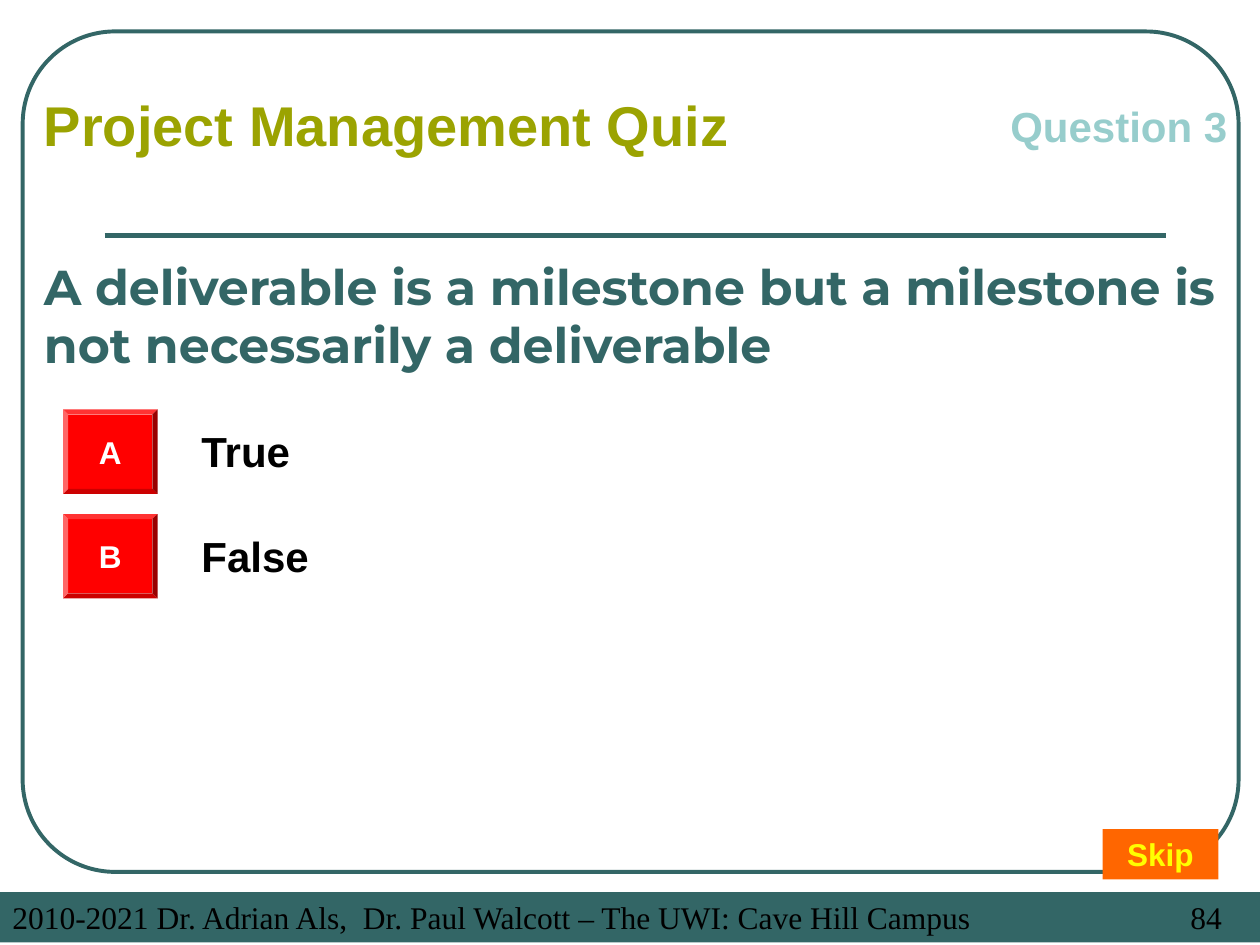
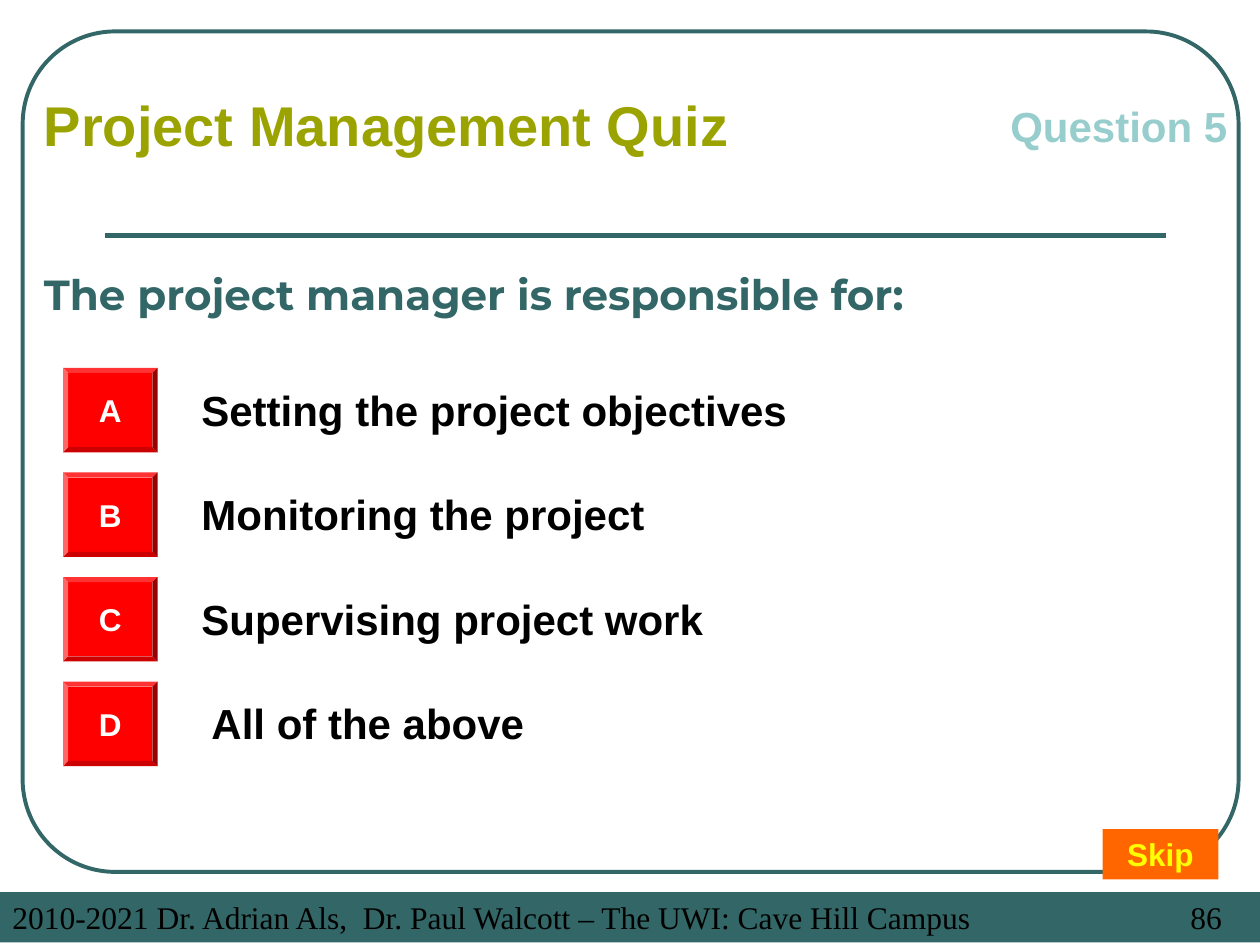
"""Build two project management quiz slides."""
from dataclasses import dataclass

from pptx import Presentation
from pptx.dml.color import RGBColor
from pptx.enum.shapes import MSO_CONNECTOR, MSO_SHAPE
from pptx.enum.text import MSO_ANCHOR, PP_ALIGN
from pptx.oxml.xmlchemy import OxmlElement
from pptx.shapes.autoshape import Shape
from pptx.slide import Slide
from pptx.util import Inches, Pt

LEFT, CENTER = PP_ALIGN.LEFT, PP_ALIGN.CENTER
TOP, MIDDLE = MSO_ANCHOR.TOP, MSO_ANCHOR.MIDDLE
RECTANGLE, ROUNDED, BEVEL = MSO_SHAPE.RECTANGLE, MSO_SHAPE.ROUNDED_RECTANGLE, MSO_SHAPE.BEVEL
STRAIGHT = MSO_CONNECTOR.STRAIGHT


@dataclass(frozen=True)
class Box:
    left: float
    top: float
    width: float
    height: float

    def lengths(self) -> tuple[int, ...]:
        return tuple(Inches(value) for value in (self.left, self.top, self.width, self.height))


@dataclass(frozen=True)
class TextStyle:
    size: float
    color: str
    font: str = "Arial"
    bold: bool = True
    align: PP_ALIGN = LEFT
    anchor: MSO_ANCHOR = TOP
    wrap: bool = True
    hanging: float = 0


@dataclass(frozen=True)
class Theme:
    teal: str = "336666"
    red: str = "FF0000"
    orange: str = "FF6600"
    frame_width: float = 2.25
    rule_width: float = 3
    heading: TextStyle = TextStyle(32, "9BA301", hanging=0.38)
    number: TextStyle = TextStyle(24, "97CDCC")
    letter: TextStyle = TextStyle(18, "FFFFFF", align=CENTER, anchor=MIDDLE, wrap=False)
    answer: TextStyle = TextStyle(24, "000000", hanging=0.38)
    skip: TextStyle = TextStyle(18, "FFFF00", align=CENTER)
    footer: TextStyle = TextStyle(18, "000000", "Times New Roman", bold=False)


@dataclass(frozen=True)
class Answer:
    text: str
    left: float = 1.5
    width: float = 8.25


@dataclass(frozen=True)
class Question:
    number: int
    page: int
    text: str
    size: float
    top: float
    answers_top: float
    answers: tuple[Answer, ...]


THEME = Theme()
FOOTER = "2010-2021 Dr. Adrian Als,  Dr. Paul Walcott – The UWI: Cave Hill Campus"
PAGE_TAB = 9.6
ANSWER_PITCH = 0.83
QUESTIONS = (
    Question(3, 84, "A deliverable is a milestone but a milestone is not necessarily a deliverable",
             28, 1.75, 3.25, (Answer("True"), Answer("False", width=7.92))),
    Question(5, 86, "The project manager is responsible for:", 24, 1.58, 2.92, (
        Answer("Setting the project objectives"),
        Answer("Monitoring the project", width=7.92),
        Answer("Supervising project work"),
        Answer("All of the above", left=1.58),
    )),
)


def write(shape: Shape, text: str, style: TextStyle, right_tab: float = 0) -> None:
    """Put one styled paragraph in a shape."""
    frame = shape.text_frame
    frame.word_wrap = style.wrap
    frame.vertical_anchor = style.anchor
    paragraph = frame.paragraphs[0]
    paragraph.alignment = style.align
    properties = paragraph._p.get_or_add_pPr()
    if style.hanging:
        properties.set("marL", str(Inches(style.hanging)))
        properties.set("indent", str(-Inches(style.hanging)))
    if right_tab:
        tabs = OxmlElement("a:tabLst")
        tab = OxmlElement("a:tab")
        tab.set("pos", str(Inches(right_tab)))
        tab.set("algn", "r")
        tabs.append(tab)
        properties.append(tabs)
    run = paragraph.add_run()
    run.text = text
    run.font.name = style.font
    run.font.size = Pt(style.size)
    run.font.bold = style.bold
    run.font.color.rgb = RGBColor.from_string(style.color)


def add_text(slide: Slide, box: Box, text: str, style: TextStyle) -> None:
    """Add a text box."""
    write(slide.shapes.add_textbox(*box.lengths()), text, style)


def add_filled(slide: Slide, kind: MSO_SHAPE, box: Box, color: str) -> Shape:
    """Add a filled shape without outline or shadow."""
    shape = slide.shapes.add_shape(kind, *box.lengths())
    shape.shadow.inherit = False
    shape.fill.solid()
    shape.fill.fore_color.rgb = RGBColor.from_string(color)
    shape.line.fill.background()
    return shape


def add_frame(slide: Slide) -> None:
    """Add the rounded frame and the rule under the heading."""
    frame = slide.shapes.add_shape(ROUNDED, *Box(0.18, 0.25, 9.65, 6.67).lengths())
    frame.adjustments[0] = 0.11
    frame.shadow.inherit = False
    frame.fill.background()
    rule = slide.shapes.add_connector(
        STRAIGHT, Inches(0.83), Inches(1.87), Inches(9.25), Inches(1.87))
    rule._element.spPr.append(OxmlElement("a:effectLst"))
    for shape, width in ((frame, THEME.frame_width), (rule, THEME.rule_width)):
        shape.line.color.rgb = RGBColor.from_string(THEME.teal)
        shape.line.width = Pt(width)


def add_footer(slide: Slide, page: int) -> None:
    """Add the footer band with its page number."""
    band = add_filled(slide, RECTANGLE, Box(0, 7.08, 10, 0.4), THEME.teal)
    write(band, f"{FOOTER}\t{page}", THEME.footer, PAGE_TAB)


def add_answer(slide: Slide, letter: str, answer: Answer, top: float) -> None:
    """Add a lettered button and its answer."""
    button = add_filled(slide, BEVEL, Box(0.5, top, 0.75, 0.67), THEME.red)
    button.adjustments[0] = 0.06
    write(button, letter, THEME.letter)
    add_text(slide, Box(answer.left, top + 0.08, answer.width, 0.5), answer.text, THEME.answer)


def add_question(slide: Slide, question: Question) -> None:
    """Draw one whole quiz slide."""
    add_frame(slide)
    add_footer(slide, question.page)
    style = TextStyle(question.size, THEME.teal, "Montserrat", anchor=MIDDLE)
    add_text(slide, Box(0.25, question.top, 9.5, 1.5), question.text, style)
    for index, (letter, answer) in enumerate(zip("ABCD", question.answers)):
        add_answer(slide, letter, answer, question.answers_top + index * ANSWER_PITCH)
    add_text(slide, Box(7.92, 0.75, 2.08, 0.5), f"Question {question.number}", THEME.number)
    add_text(slide, Box(0.25, 0.67, 6.5, 0.64), "Project Management Quiz", THEME.heading)
    skip = add_filled(slide, RECTANGLE, Box(8.75, 6.58, 0.92, 0.4), THEME.orange)
    write(skip, "Skip", THEME.skip)


def main() -> None:
    """Build and save the presentation."""
    presentation = Presentation()
    presentation.slide_width = Inches(10)
    presentation.slide_height = Inches(7.5)
    blank = presentation.slide_layouts[6]
    for question in QUESTIONS:
        add_question(presentation.slides.add_slide(blank), question)
    presentation.save("out.pptx")


if __name__ == "__main__":
    main()
